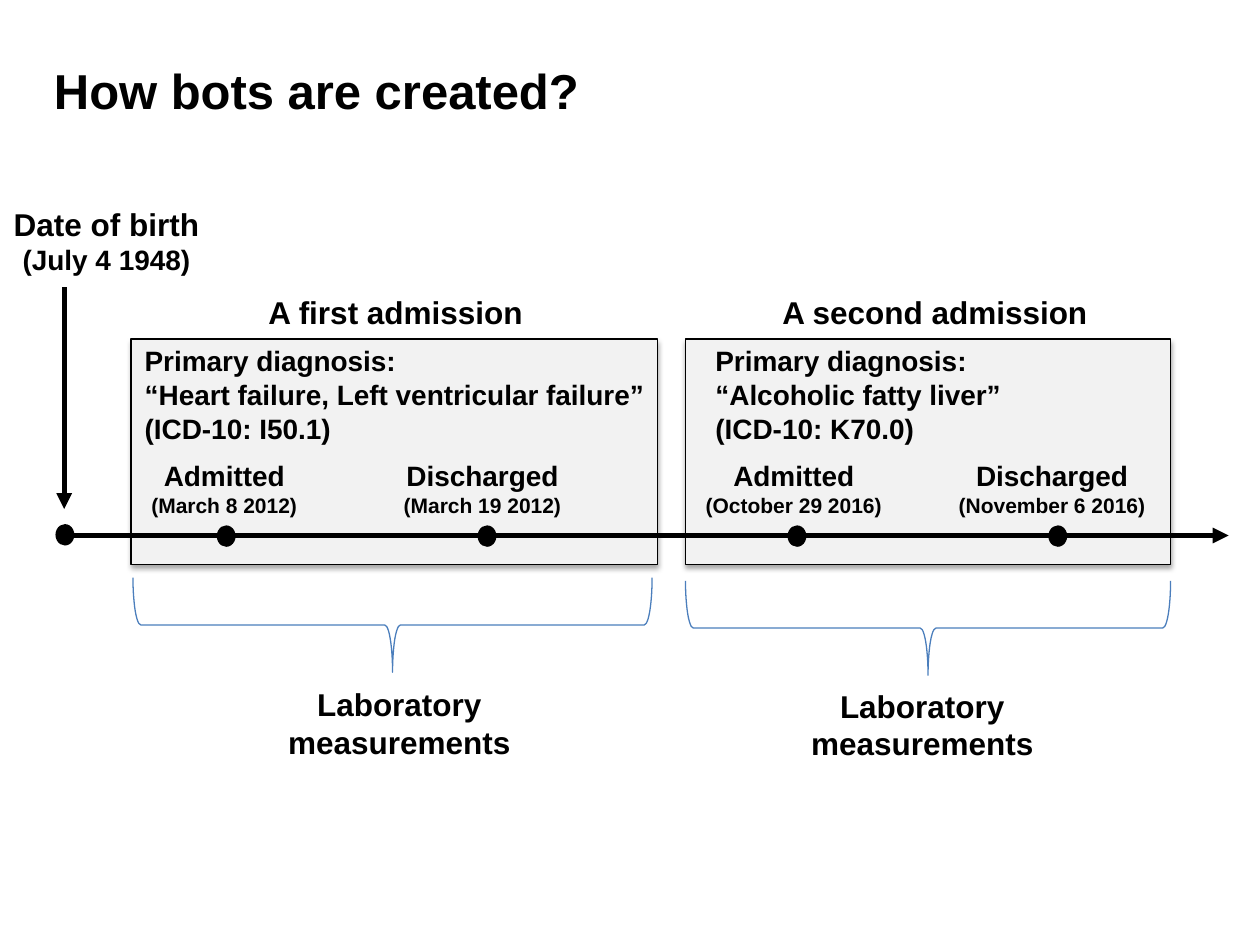
from dataclasses import dataclass

from lxml import etree
from pptx import Presentation
from pptx import util as u
from pptx.dml.color import RGBColor
from pptx.enum import shapes, text
from pptx.oxml import ns

BLACK, PANEL_FILL, BRACE_BLUE = "000000", "F2F2F2", "4B7EBC"
DOT_WIDTH, DOT_HEIGHT = 0.15, 0.17
PANEL_TOP, PANEL_HEIGHT = 2.69, 1.79
TIMELINE_Y = 4.25
Box = tuple[float, float, float, float]


@dataclass(frozen=True)
class Event:
    name: str
    date: str
    left: float
    width: float
    dot_left: float


@dataclass(frozen=True)
class Admission:
    heading: str
    heading_box: Box
    panel_left: float
    panel_width: float
    diagnosis: tuple[str, ...]
    diagnosis_box: Box
    diagnosis_wraps: bool
    events: tuple[Event, ...]
    brace_box: Box
    measurements_box: Box


ADMISSIONS = (
    Admission(
        "A first admission", (1.05, 2.28, 4.18, 0.4), 1.04, 4.18,
        ("Primary diagnosis:", "“Heart failure, Left ventricular failure”", "(ICD-10: I50.1)"),
        (1.05, 2.68, 4.23, 0.91), False,
        (Event("Admitted", "(March 8 2012)", 0.92, 1.72, 1.72),
         Event("Discharged", "(March 19 2012)", 2.86, 1.94, 3.79)),
        (2.74, 2.9, 0.75, 4.12), (2.18, 5.39, 1.98, 0.71),
    ),
    Admission(
        "A second admission", (5.56, 2.28, 3.72, 0.4), 5.44, 3.85,
        ("Primary diagnosis:", "“Alcoholic fatty liver”", "(ICD-10: K70.0)"),
        (5.58, 2.68, 3.5, 0.91), True,
        (Event("Admitted", "(October 29 2016)", 5.44, 1.72, 6.25),
         Event("Discharged", "(November 6 2016)", 7.38, 1.94, 8.32)),
        (6.99, 3.06, 0.75, 3.85), (6.33, 5.4, 1.98, 0.71),
    ),
)


def color(hex_value: str) -> RGBColor:
    return RGBColor.from_string(hex_value)


def assign(target, values: dict) -> None:
    for name, value in values.items():
        setattr(target, name, value)


def inches(box: Box) -> list[u.Length]:
    return [u.Inches(value) for value in box]


def add_label(slide, box: Box, lines: tuple[str, ...], sizes: tuple[int, ...],
              align=text.PP_ALIGN.CENTER, frame_format: dict | None = None,
              spacing: int = 0) -> None:
    frame = slide.shapes.add_textbox(*inches(box)).text_frame
    assign(frame, {"word_wrap": True, "auto_size": text.MSO_AUTO_SIZE.SHAPE_TO_FIT_TEXT,
                   **(frame_format or {})})
    for index, (line, size) in enumerate(zip(lines, sizes)):
        paragraph = frame.add_paragraph() if index else frame.paragraphs[0]
        assign(paragraph, {"alignment": align, "space_before": u.Pt(spacing),
                           "space_after": u.Pt(spacing)})
        run = paragraph.add_run()
        run.text = line
        assign(run.font, {"name": "Arial", "size": u.Pt(size), "bold": True})
        run.font.color.rgb = color(BLACK)


def add_figure(slide, kind, box: Box, fill: str | None = None, line: str | None = None):
    figure = slide.shapes.add_shape(kind, *inches(box))
    figure.shadow.inherit = False
    if fill:
        figure.fill.solid()
        figure.fill.fore_color.rgb = color(fill)
    else:
        figure.fill.background()
    if line:
        figure.line.color.rgb = color(line)
        figure.line.width = u.Pt(0.75)
    else:
        figure.line.fill.background()
    return figure


def add_panel(slide, admission: Admission) -> None:
    box = (admission.panel_left, PANEL_TOP, admission.panel_width, PANEL_HEIGHT)
    panel = add_figure(slide, shapes.MSO_SHAPE.RECTANGLE, box, PANEL_FILL, BLACK)
    effects = panel.element.spPr.find(ns.qn("a:effectLst"))
    shadow = etree.SubElement(effects, ns.qn("a:outerShdw"), {
        "blurRad": str(u.Pt(3.1)), "dist": str(u.Pt(1.8)),
        "dir": "5400000", "rotWithShape": "0"})
    tint = etree.SubElement(shadow, ns.qn("a:srgbClr"), val=BLACK)
    etree.SubElement(tint, ns.qn("a:alpha"), val="35000")


def add_arrow(slide, ends: Box) -> None:
    arrow = slide.shapes.add_connector(shapes.MSO_CONNECTOR.STRAIGHT, *inches(ends))
    arrow.line.color.rgb = color(BLACK)
    arrow.line.width = u.Pt(3)
    properties = arrow.element.spPr
    etree.SubElement(properties.find(ns.qn("a:ln")), ns.qn("a:tailEnd"), type="triangle")
    etree.SubElement(properties, ns.qn("a:effectLst"))


def add_dot(slide, left: float, top: float) -> None:
    add_figure(slide, shapes.MSO_SHAPE.OVAL, (left, top, DOT_WIDTH, DOT_HEIGHT), BLACK)


def add_admission(slide, admission: Admission) -> None:
    add_label(slide, admission.heading_box, (admission.heading,), (18,))
    add_label(slide, admission.diagnosis_box, admission.diagnosis, (16, 16, 16),
              text.PP_ALIGN.LEFT, {"word_wrap": admission.diagnosis_wraps})
    for event in admission.events:
        add_label(slide, (event.left, 3.59, event.width, 0.57),
                  (event.name, event.date), (16, 12))
        add_dot(slide, event.dot_left, 4.17)
    brace = add_figure(slide, shapes.MSO_SHAPE.RIGHT_BRACE, admission.brace_box, line=BRACE_BLUE)
    brace.rotation = 90
    add_label(slide, admission.measurements_box, ("Laboratory", "measurements"), (18, 18),
              frame_format={"word_wrap": False})


def main() -> None:
    presentation = Presentation()
    assign(presentation, {"slide_width": u.Inches(10), "slide_height": u.Inches(7.5)})
    slide = presentation.slides.add_slide(presentation.slide_layouts[6])

    add_label(slide, (0.33, 0.25, 9.42, 0.92), ("How bots are created?",), (28,),
              text.PP_ALIGN.LEFT,
              {"auto_size": text.MSO_AUTO_SIZE.NONE,
               "vertical_anchor": text.MSO_ANCHOR.MIDDLE}, 6)
    for admission in ADMISSIONS:
        add_panel(slide, admission)
    add_arrow(slide, (0.59, TIMELINE_Y, 9.75, TIMELINE_Y))
    add_arrow(slide, (0.51, 2.28, 0.51, 4.04))
    add_label(slide, (-0.06, 1.58, 1.81, 0.67), ("Date of birth", "(July 4 1948)"), (18, 16))
    add_dot(slide, 0.44, 4.16)
    for admission in ADMISSIONS:
        add_admission(slide, admission)

    presentation.save("out.pptx")


if __name__ == "__main__":
    main()
